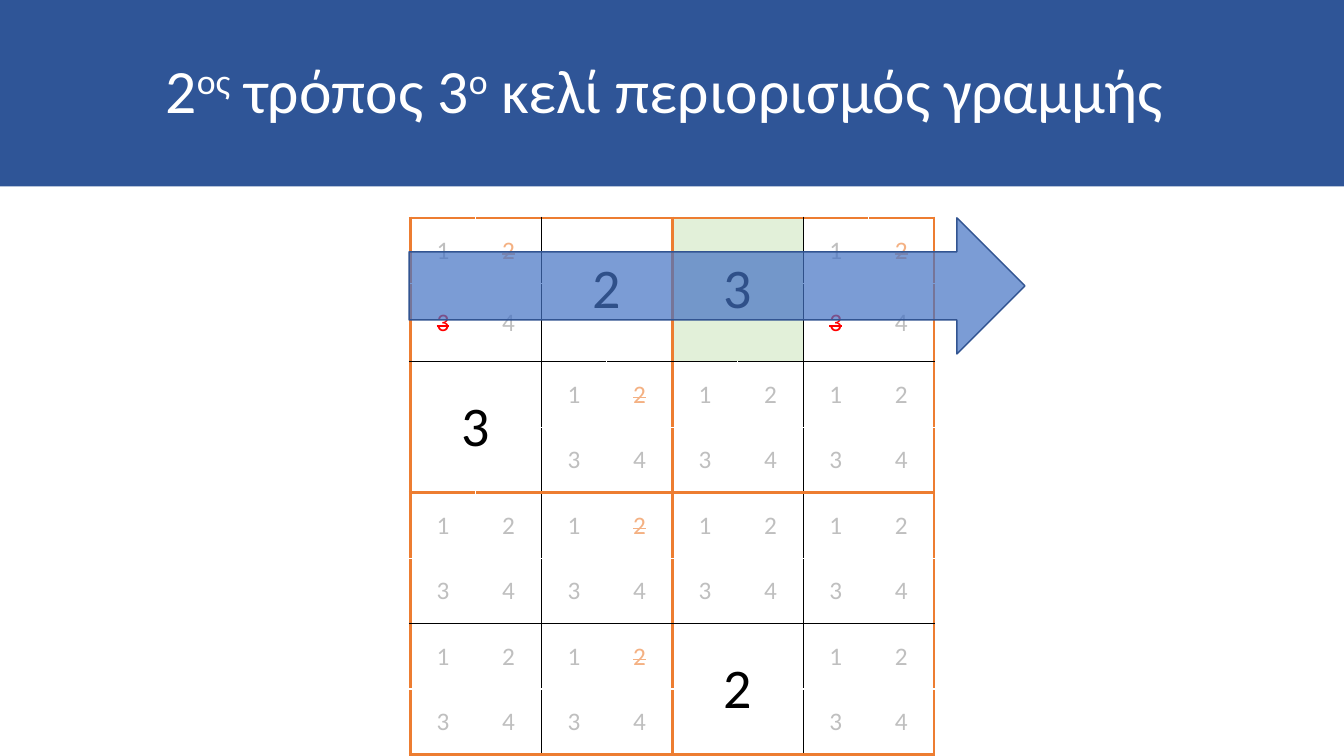
from lxml import etree
from pptx import Presentation
from pptx.dml.color import RGBColor
from pptx.enum.shapes import MSO_SHAPE
from pptx.enum.text import MSO_ANCHOR, MSO_AUTO_SIZE, PP_ALIGN
from pptx.oxml.ns import qn
from pptx.util import Cm, Pt

CENTER = PP_ALIGN.CENTER
MIDDLE = MSO_ANCHOR.MIDDLE
NO_AUTOFIT = MSO_AUTO_SIZE.NONE
RIGHT_ARROW = MSO_SHAPE.RIGHT_ARROW
TITLE_ONLY = 5

NAVY, BLUE, BLUE_EDGE = "2F5597", "4472C4", "325491"
WHITE, BLACK, GREY = "FFFFFF", "000000", "BFBFBF"
ORANGE, PEACH, RED, GREEN = "ED7D31", "F4B183", "FF0000", "E2F0D9"

# Sudoku content: keys are (row, column) of the 4 x 4 board
SOLVED = {(0, 1): "2", (0, 2): "3", (1, 0): "3", (3, 2): "2"}
HIGHLIGHTED = {(0, 2): GREEN}
CROSSED_OUT = {
    (0, 0): {"2": PEACH, "3": RED},
    (0, 3): {"2": PEACH, "3": RED},
    (1, 1): {"2": PEACH},
    (2, 1): {"2": PEACH},
    (3, 1): {"2": PEACH},
}
CANDIDATES = ("12", "34")
LINES = 8


def rgb(color):
    return RGBColor.from_string(color)


def grid_line(index):
    """Colour and width of the grid line with this number."""
    if index % 4 == 0:
        return ORANGE, 2.25
    return (BLACK, 1) if index % 2 == 0 else (WHITE, 1)


class SudokuSlide:
    font = "Calibri"

    def __init__(self, presentation):
        self.slide = presentation.slides.add_slide(presentation.slide_layouts[TITLE_ONLY])

    def add_run(self, paragraph, text, size, color, **attributes):
        run = paragraph.add_run()
        run.text = text
        run.font.name = self.font
        run.font.size = Pt(size)
        run.font.color.rgb = rgb(color)
        for name, value in attributes.items():
            run.font._element.set(name, value)

    def add_title(self, parts, width, height):
        title = self.slide.shapes.title
        title.left, title.top, title.width, title.height = 0, 0, width, height
        title.fill.solid()
        title.fill.fore_color.rgb = rgb(NAVY)
        frame = title.text_frame
        frame.auto_size = NO_AUTOFIT
        frame.word_wrap = True
        frame.vertical_anchor = MIDDLE
        paragraph = frame.paragraphs[0]
        paragraph.alignment = CENTER
        paragraph.line_spacing = 0.9
        for text, raised in parts:
            attributes = {"baseline": "30000"} if raised else {}
            self.add_run(paragraph, text, 44, WHITE, **attributes)

    def add_border(self, cell, side, index):
        color, width = grid_line(index)
        properties = cell._tc.get_or_add_tcPr()
        line = etree.SubElement(properties, qn("a:ln" + side), w=str(Pt(width)))
        fill = etree.SubElement(line, qn("a:solidFill"))
        etree.SubElement(fill, qn("a:srgbClr"), val=color)

    def format_cell(self, cell, row, column):
        span = 2 if cell.is_merge_origin else 1
        edges = {"L": column, "R": column + span, "T": row, "B": row + span}
        for side, index in edges.items():
            if not (cell.is_spanned and index % 2):
                self.add_border(cell, side, index)
        block = row // 2, column // 2
        if block in HIGHLIGHTED:
            cell.fill.solid()
            cell.fill.fore_color.rgb = rgb(HIGHLIGHTED[block])
        else:
            cell.fill.background()
        cell.vertical_anchor = MIDDLE

    def fill_cell(self, cell, row, column):
        block = row // 2, column // 2
        paragraph = cell.text_frame.paragraphs[0]
        paragraph.alignment = CENTER
        if block in SOLVED:
            self.add_run(paragraph, SOLVED[block], 40, BLACK)
            return
        digit = CANDIDATES[row % 2][column % 2]
        crossed = CROSSED_OUT.get(block, {})
        attributes = {"strike": "sngStrike"} if digit in crossed else {}
        self.add_run(paragraph, digit, 18, crossed.get(digit, GREY), **attributes)

    def add_board(self, left, top, step, tall_row):
        size = step * LINES
        table = self.slide.shapes.add_table(LINES, LINES, left, top, size, size).table
        table.first_row = False
        table.horz_banding = False
        for line in range(LINES):
            table.columns[line].width = step
            table.rows[line].height = step
        table.rows[1].height = tall_row
        for row, column in SOLVED:
            origin = table.cell(2 * row, 2 * column)
            origin.merge(table.cell(2 * row + 1, 2 * column + 1))
        for row in range(LINES):
            for column in range(LINES):
                cell = table.cell(row, column)
                self.format_cell(cell, row, column)
                if not cell.is_spanned:
                    self.fill_cell(cell, row, column)

    def add_arrow(self, left, top, width, height, opacity):
        arrow = self.slide.shapes.add_shape(RIGHT_ARROW, left, top, width, height)
        arrow.shadow.inherit = False
        arrow.fill.solid()
        arrow.fill.fore_color.rgb = rgb(BLUE)
        color = arrow._element.spPr.find(".//" + qn("a:srgbClr"))
        etree.SubElement(color, qn("a:alpha"), val=str(opacity * 1000))
        arrow.line.color.rgb = rgb(BLUE_EDGE)
        arrow.line.width = Pt(1)


def main():
    presentation = Presentation()
    presentation.slide_width = Cm(33.87)
    presentation.slide_height = Cm(19.05)
    sudoku = SudokuSlide(presentation)

    # Title band
    title_parts = [
        ("2", False),
        ("ος", True),
        (" τρόπος 3", False),
        ("ο", True),
        (" κελί περιορισμός γραμμής ", False),
    ]
    sudoku.add_title(title_parts, presentation.slide_width, Cm(4.7))

    # Board with candidates, and the arrow along its first row
    sudoku.add_board(Cm(10.34), Cm(5.49), Cm(1.65), Cm(1.96))
    sudoku.add_arrow(Cm(10.31), Cm(5.49), Cm(15.52), Cm(3.43), opacity=70)

    presentation.save("out.pptx")


if __name__ == "__main__":
    main()
